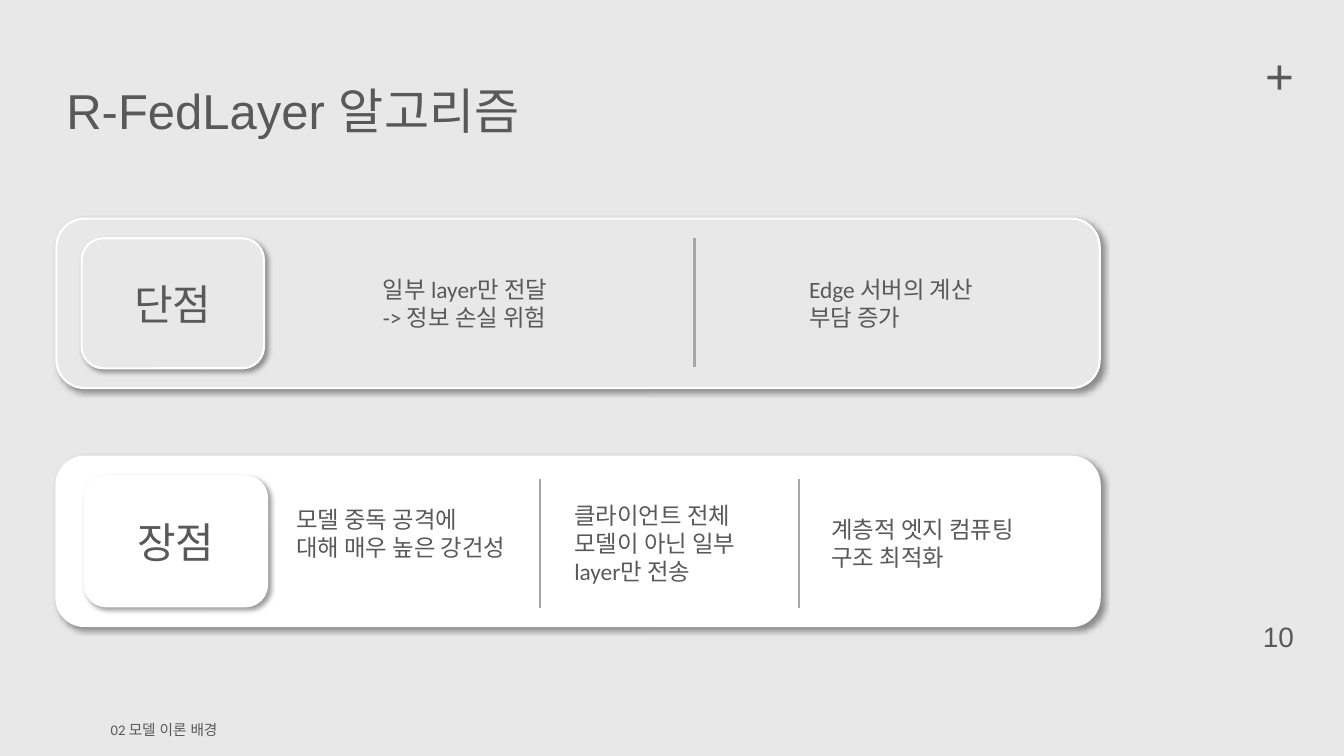
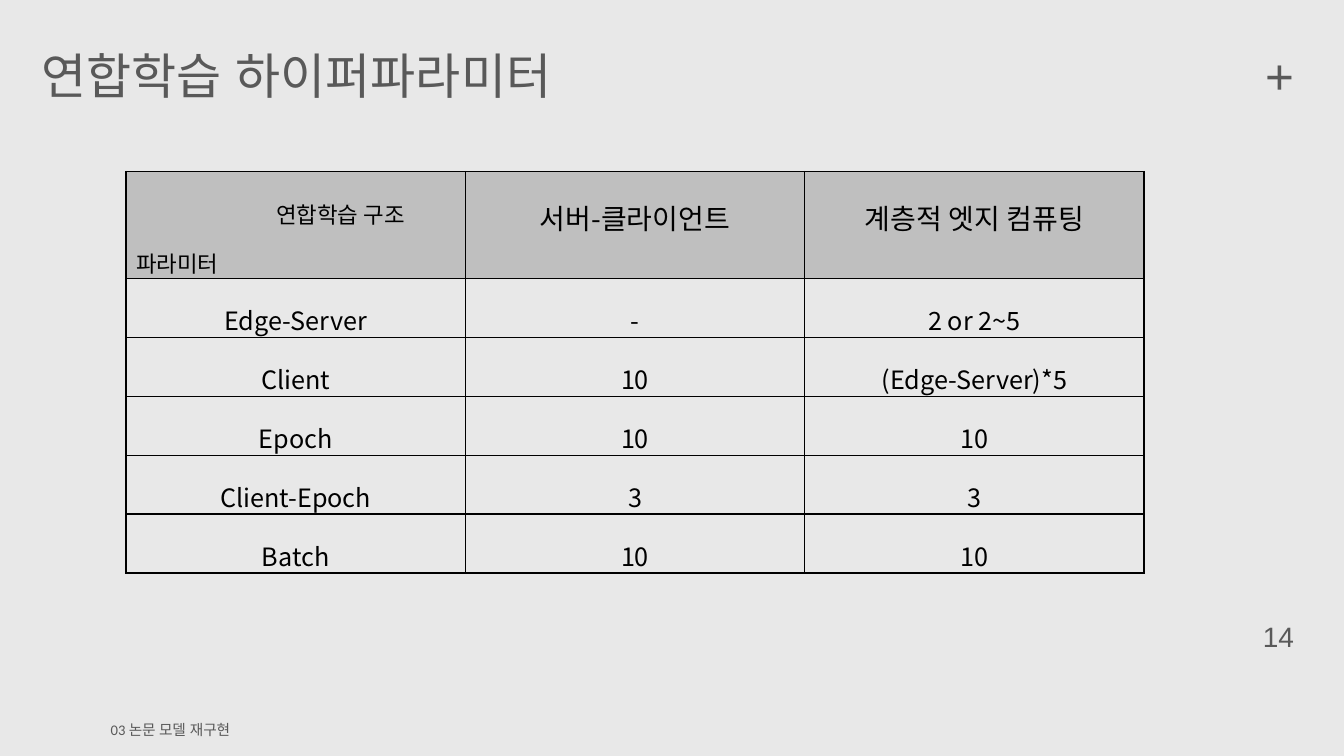
from lxml.etree import SubElement
from pptx import Presentation
from pptx.dml.color import RGBColor
from pptx.enum.shapes import MSO_CONNECTOR, MSO_SHAPE
from pptx.enum.text import MSO_ANCHOR, MSO_AUTO_SIZE, PP_ALIGN
from pptx.oxml.ns import qn
from pptx.util import Pt

BACKGROUND = RGBColor(0xE8, 0xE8, 0xE8)
WHITE = RGBColor(0xFF, 0xFF, 0xFF)
TEXT = RGBColor(0x59, 0x59, 0x59)
DIVIDER = RGBColor(0xA6, 0xA6, 0xA6)
HEADER = RGBColor(0xBF, 0xBF, 0xBF)
BLACK = RGBColor(0, 0, 0)
HEAD_FONT, BODY_FONT, TABLE_FONT = "Arial", "Calibri", "Noto Sans CJK KR"


def style_run(r, size, name, color=TEXT):
    """Set size, colour and typeface for Latin and East Asian text."""
    r.font.size = Pt(size)
    r.font.name = name
    r.font.color.rgb = color
    SubElement(r.font._element, qn("a:ea")).set("typeface", name)


def add_text(s, x, y, w, h, paragraphs, size, name, align=PP_ALIGN.LEFT):
    """Add a wrapping text box and return its text frame."""
    tf = s.shapes.add_textbox(Pt(x), Pt(y), Pt(w), Pt(h)).text_frame
    tf.word_wrap = True
    tf.auto_size = MSO_AUTO_SIZE.SHAPE_TO_FIT_TEXT
    tf.text = "\n".join(paragraphs)
    for p in tf.paragraphs:
        p.alignment = align
        for r in p.runs:
            style_run(r, size, name)
    return tf


def add_base_slide(prs, title, title_box, number, section):
    """Add a slide with background, title, plus sign, number and footer."""
    s = prs.slides.add_slide(prs.slide_layouts[6])
    s.background.fill.solid()
    s.background.fill.fore_color.rgb = BACKGROUND
    add_text(s, 879, 439.2, 68.4, 31.7, [number], 20, HEAD_FONT, PP_ALIGN.CENTER)
    add_text(s, 890.6, 28.8, 46.8, 50.4, ["+"], 35.3, HEAD_FONT, PP_ALIGN.CENTER)
    add_text(s, *title_box, [title], 35, HEAD_FONT)
    start, rest = section
    p = add_text(s, 72, 511.2, 219, 20.9, [start], 10.5, BODY_FONT).paragraphs[0]
    r = p.add_run()
    r.text = rest
    style_run(r, 10.5, HEAD_FONT)
    return s


def add_card(s, x, y, w, h, fill):
    """Add a rounded card with a white outline and a soft shadow."""
    sp = s.shapes.add_shape(MSO_SHAPE.ROUNDED_RECTANGLE, Pt(x), Pt(y), Pt(w), Pt(h))
    sp.fill.solid()
    sp.fill.fore_color.rgb = fill
    sp.line.color.rgb = WHITE
    sp.line.width = Pt(1.5)
    sp.shadow.inherit = False
    effects = sp._element.spPr.find(qn("a:effectLst"))
    shadow = SubElement(effects, qn("a:outerShdw"), blurRad=str(Pt(4)), dist=str(Pt(3)),
                        dir="2700000", algn="tl", rotWithShape="0")
    color = SubElement(shadow, qn("a:srgbClr"), val="000000")
    SubElement(color, qn("a:alpha"), val="40000")
    return sp


def add_divider(s, x, y, h):
    """Add a vertical grey rule."""
    line = s.shapes.add_connector(MSO_CONNECTOR.STRAIGHT, Pt(x), Pt(y), Pt(x), Pt(y + h))
    line.line.color.rgb = DIVIDER
    line.line.width = Pt(1.5)
    SubElement(line._element.spPr, qn("a:effectLst"))


def add_panel(s, x, y, fill, label, label_dx, dividers, divider_dy, notes):
    """Add a labelled panel whose parts are offset from its top left corner."""
    add_card(s, x, y, 745.2, 121, fill)
    tf = add_card(s, x + label_dx, y + 14, 130.3, 92.9, fill).text_frame
    tf.text = label
    tf.vertical_anchor = MSO_ANCHOR.MIDDLE
    tf.paragraphs[0].alignment = PP_ALIGN.CENTER
    style_run(tf.paragraphs[0].runs[0], 30, HEAD_FONT)
    for dx in dividers:
        add_divider(s, x + dx, y + divider_dy, 92.5)
    for dx, dy, w, paragraphs in notes:
        add_text(s, x + dx, y + dy, w, 47.5, paragraphs, 16.7, BODY_FONT)


def add_borders(cell):
    """Draw a thin black border on all sides of a cell."""
    tc_pr = cell._tc.get_or_add_tcPr()
    for i, side in enumerate(("lnL", "lnR", "lnT", "lnB")):
        ln = SubElement(tc_pr, qn(f"a:{side}"), w=str(Pt(1)))
        SubElement(SubElement(ln, qn("a:solidFill")), qn("a:srgbClr"), val=str(BLACK))
        tc_pr.insert(i, ln)


def fill_cell(cell, text, fill, size):
    """Write centred table text and set the fill and borders."""
    cell.fill.solid()
    cell.fill.fore_color.rgb = fill
    add_borders(cell)
    cell.text = text
    for p in cell.text_frame.paragraphs:
        p.alignment = PP_ALIGN.CENTER
        p.line_spacing = 1.5
        for r in p.runs:
            style_run(r, size, TABLE_FONT, BLACK)


def add_parameter_table(s, x, y, w, rows):
    """Add the parameter table with a grey header row."""
    heights = [76.4] + [42.1] * (len(rows) - 1)
    frame = s.shapes.add_table(len(rows), len(rows[0]), Pt(x), Pt(y), Pt(w), Pt(sum(heights)))
    table = frame.table
    table.first_row = table.horz_banding = False
    for column in table.columns:
        column.width = Pt(w / len(rows[0]))
    for i, values in enumerate(rows):
        table.rows[i].height = Pt(heights[i])
        for j, value in enumerate(values):
            size = 18 if i else 20 if j else 16
            fill_cell(table.cell(i, j), value, BACKGROUND if i else HEADER, size)
    corner = table.cell(0, 0)
    corner.margin_top = Pt(7.6)
    structure, parameter = corner.text_frame.paragraphs
    structure._p.get_or_add_pPr().set("marL", str(Pt(64)))
    parameter.alignment = PP_ALIGN.LEFT


def build_algorithm_slide(prs):
    """Build the slide on weaknesses and strengths."""
    s = add_base_slide(prs, "R-FedLayer 알고리즘", (40.3, 54, 559.4, 49.7), "10",
                       ("02 ", "모델 이론 배경"))
    add_panel(s, 40.3, 326.2, WHITE, "장점", 20.2, (345.6, 530.6), 15.8, [
        (164.2, 31, 180.7, ["모델 중독 공격에 \v대해 매우 높은 강건성"]),
        (362.9, 28.1, 151.2, ["클라이언트 전체 모델이 아닌 일부 layer만 전송"]),
        (546.5, 38.2, 158.4, ["계층적 엣지 컴퓨팅 구조 최적화"]),
    ])
    add_panel(s, 40.3, 156.2, BACKGROUND, "단점", 18, (455.8,), 13.7, [
        (226.1, 36.7, 151.2, ["일부 layer만 전달", "-> 정보 손실 위험"]),
        (530.6, 36.7, 151.2, ["Edge 서버의 계산 부담 증가"]),
    ])


def build_parameter_slide(prs):
    """Build the slide with the hyperparameter table."""
    s = add_base_slide(prs, "연합학습 하이퍼파라미터", (22.3, 28.8, 598.3, 49.7), "14",
                       ("03 논문 ", "모델 재구현"))
    add_parameter_table(s, 90, 122.4, 727.2, [
        ("연합학습 구조\n파라미터", "서버-클라이언트", "계층적 엣지 컴퓨팅"),
        ("Edge-Server", "-", "2 or 2~5"),
        ("Client", "10", "(Edge-Server)*5"),
        ("Epoch", "10", "10"),
        ("Client-Epoch", "3", "3"),
        ("Batch", "10", "10"),
    ])


def main():
    """Create the presentation."""
    prs = Presentation()
    prs.slide_width, prs.slide_height = Pt(960), Pt(540)
    build_algorithm_slide(prs)
    build_parameter_slide(prs)
    prs.save("out.pptx")


if __name__ == "__main__":
    main()
